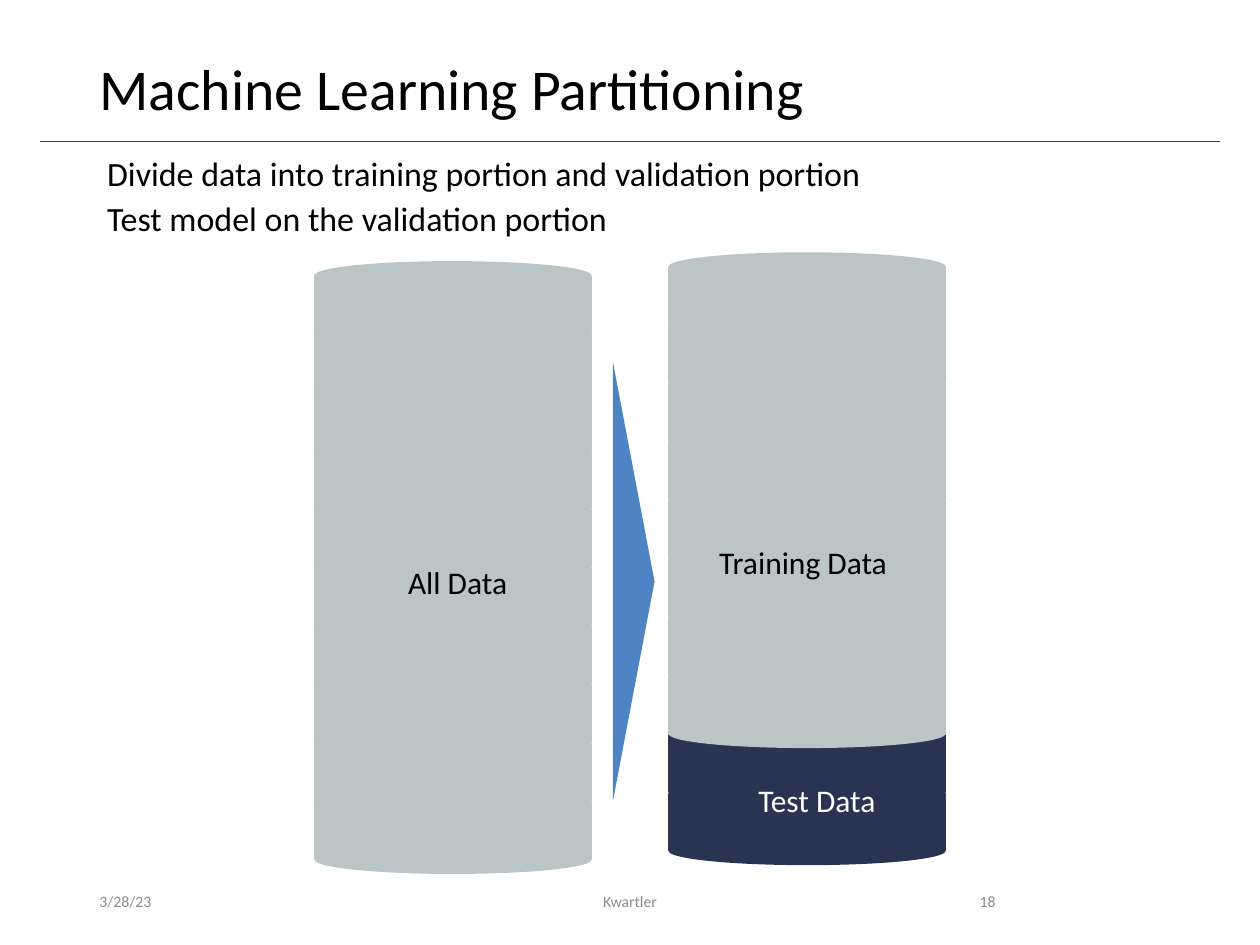
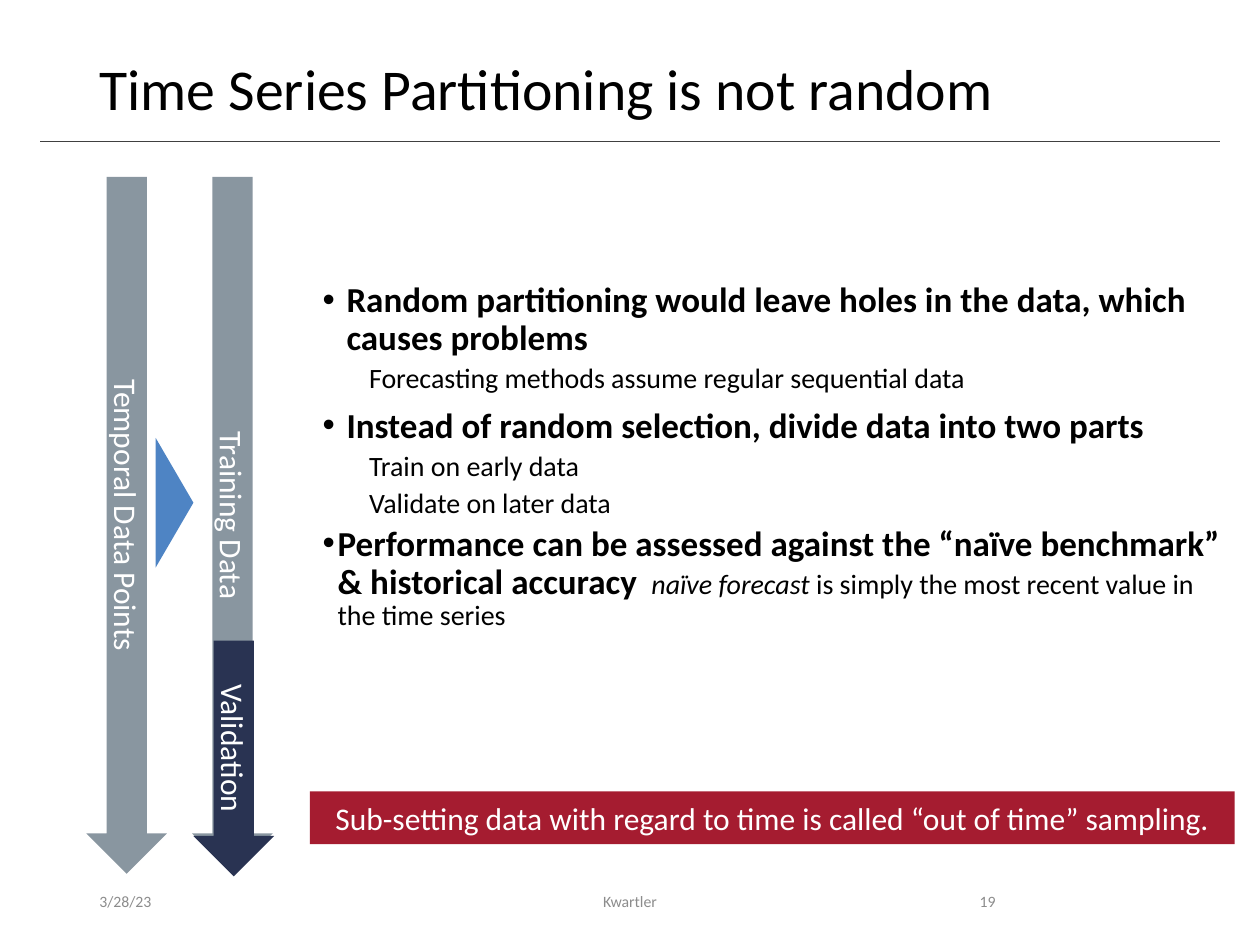
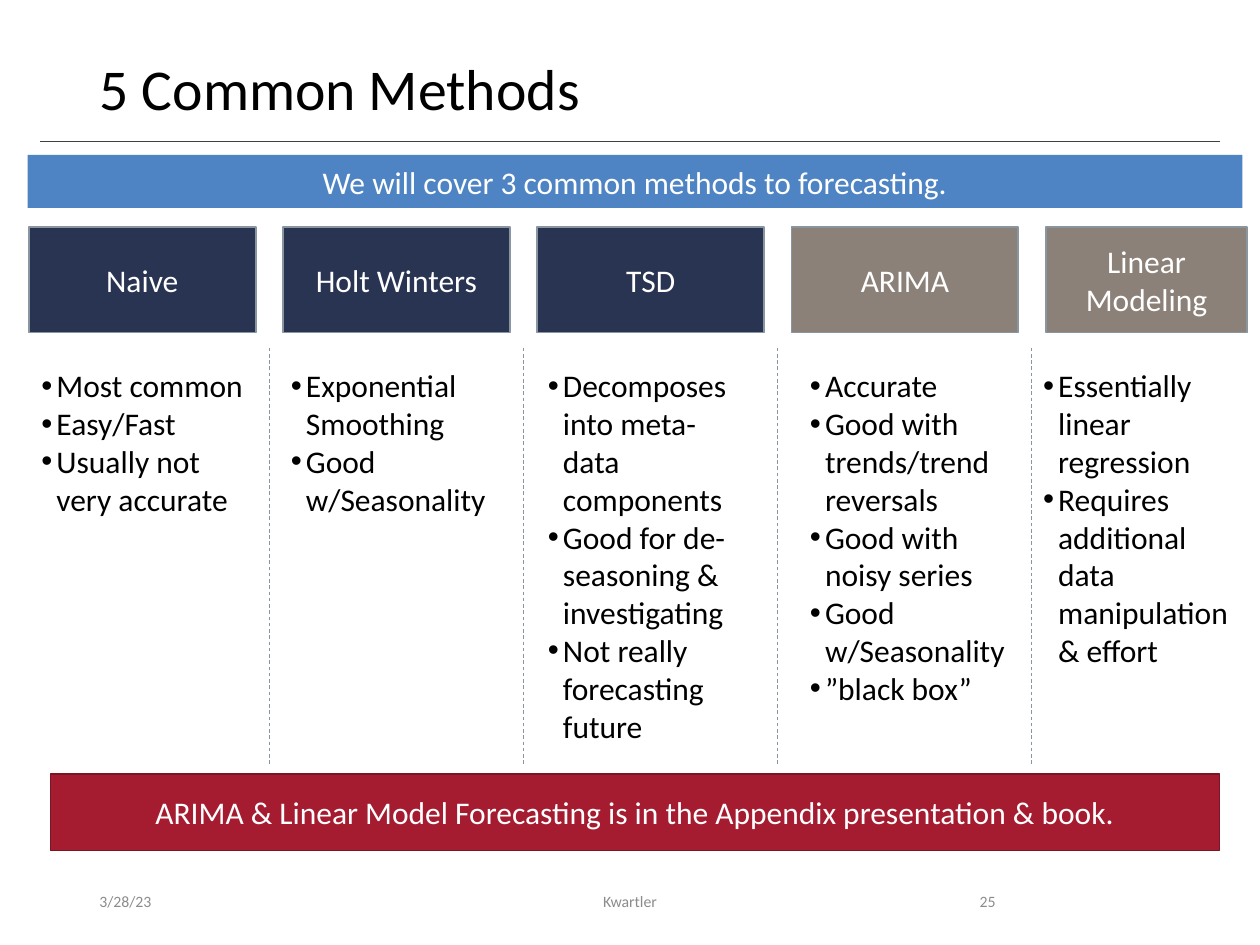
from dataclasses import dataclass, field
from typing import Any, NamedTuple

from lxml.etree import SubElement
from pptx import Presentation
from pptx.dml.color import RGBColor
from pptx.enum.dml import MSO_LINE
from pptx.enum.shapes import MSO_CONNECTOR, MSO_SHAPE
from pptx.enum.text import MSO_ANCHOR, MSO_AUTO_SIZE, PP_ALIGN
from pptx.oxml.ns import qn
from pptx.shapes.autoshape import Shape
from pptx.shapes.connector import Connector
from pptx.slide import Slide
from pptx.util import Inches, Pt


@dataclass(frozen=True)
class Theme:
    """Colours, font and type sizes of the presentation."""

    font: str = "Calibri"
    black: str = "000000"
    white: str = "FFFFFF"
    rule: str = "404040"
    footer: str = "8C8C8C"
    crimson: str = "A51C30"
    dark_crimson: str = "7A1524"
    navy: str = "293352"
    blue: str = "4E84C4"
    mist: str = "BAC5C6"
    slate: str = "8996A0"
    taupe: str = "8C8179"
    title_size: float = 33
    lead_size: float = 20
    intro_size: float = 19.4
    label_size: float = 18
    detail_size: float = 16
    footer_size: float = 9


THEME = Theme()


class Box(NamedTuple):
    """Left, top, width and height in inches."""

    left: float
    top: float
    width: float
    height: float

    def lengths(self) -> dict[str, int]:
        """Return the box as named lengths."""
        return {name: Inches(value) for name, value in self._asdict().items()}


@dataclass(frozen=True)
class TextRun:
    """A piece of text in one style."""

    text: str
    size: float = THEME.label_size
    color: str = THEME.black
    bold: bool = False
    italic: bool = False


@dataclass(frozen=True)
class TextParagraph:
    """Runs with their indent, bullet and paragraph format."""

    runs: tuple[TextRun, ...]
    margin: float = 0
    hanging: float = 0
    bullet: bool = False
    values: dict[str, Any] = field(default_factory=dict)


@dataclass(frozen=True)
class Block:
    """A filled shape with an optional label and outline."""

    kind: MSO_SHAPE
    box: Box
    fill: str
    label: str = ""
    outline: str = ""
    rotation: float = 0


class Stack(NamedTuple):
    """A pile of disks, with the navy ones at the bottom."""

    left: float
    top: float
    navy_count: int


class Method(NamedTuple):
    """A forecasting method with its heading and bullet column."""

    name: str
    fill: str
    width: float
    list_left: float
    points: tuple[str, ...]


TITLE_BOX = Box(0.69, 0.4, 8.62, 0.65)
DISK_COUNT = 10
DISK_PITCH = 0.4644
HEADING_LEFT = 0.23
HEADING_PITCH = 2.0175
SPACED_LEAD = {"line_spacing": 0.9, "space_before": Pt(7.5)}
SPACED_DETAIL = {"line_spacing": 0.9, "space_before": Pt(3.8), "level": 1}

FOOTERS = (
    (Box(0.69, 6.95, 2.25, 0.4), "3/28/23", PP_ALIGN.LEFT),
    (Box(7.06, 6.95, 0.94, 0.4), "{number}", PP_ALIGN.RIGHT),
    (Box(3.31, 6.95, 3.38, 0.4), "Kwartler", PP_ALIGN.CENTER),
)

METHODS = (
    Method("Naive", THEME.navy, 1.8, 0.23,
           ("Most common", "Easy/Fast", "Usually not very accurate")),
    Method("Holt Winters", THEME.navy, 1.8, 2.21,
           ("Exponential Smoothing", "Good w/Seasonality")),
    Method("TSD", THEME.navy, 1.8, 4.25,
           ("Decomposes into meta-data components",
            "Good for de-seasoning & investigating",
            "Not really forecasting future")),
    Method("ARIMA", THEME.taupe, 1.8, 6.33,
           ("Accurate", "Good with trends/trend reversals",
            "Good with noisy series", "Good w/Seasonality", "”black box”")),
    Method("Linear Modeling", THEME.taupe, 1.6, 8.18,
           ("Essentially linear regression",
            "Requires additional data manipulation & effort")),
)


def set_values(target: Any, values: dict[str, Any]) -> None:
    """Set each named attribute of the target."""
    for name, value in values.items():
        setattr(target, name, value)


def write_text(shape: Shape, paragraphs: list[TextParagraph],
               frame_values: dict[str, Any]) -> None:
    """Fill a shape's text frame with formatted paragraphs."""
    frame = shape.text_frame
    set_values(frame, {"word_wrap": True, "auto_size": MSO_AUTO_SIZE.NONE} | frame_values)
    for index, content in enumerate(paragraphs):
        paragraph = frame.add_paragraph() if index else frame.paragraphs[0]
        set_values(paragraph, content.values)
        properties = paragraph._p.get_or_add_pPr()
        properties.set("marL", str(Inches(content.margin)))
        properties.set("indent", str(Inches(-content.hanging)))
        if content.bullet:
            SubElement(properties, qn("a:buFont")).set("typeface", "Arial")
            SubElement(properties, qn("a:buChar")).set("char", "•")
        else:
            SubElement(properties, qn("a:buNone"))
        for piece in content.runs:
            run = paragraph.add_run()
            run.text = piece.text
            set_values(run.font, {"name": THEME.font, "size": Pt(piece.size),
                                  "bold": piece.bold, "italic": piece.italic})
            run.font.color.rgb = RGBColor.from_string(piece.color)


def add_text(slide: Slide, box: Box, paragraphs: list[TextParagraph],
             frame_values: dict[str, Any] | None = None) -> None:
    """Add a text box."""
    shape = slide.shapes.add_textbox(**box.lengths())
    write_text(shape, paragraphs, frame_values or {})


def add_block(slide: Slide, block: Block) -> None:
    """Draw a block with its centred white label."""
    shape = slide.shapes.add_shape(block.kind, **block.box.lengths())
    shape.shadow.inherit = False
    shape.rotation = block.rotation
    shape.fill.solid()
    shape.fill.fore_color.rgb = RGBColor.from_string(block.fill)
    if block.outline:
        shape.line.color.rgb = RGBColor.from_string(block.outline)
        shape.line.width = Pt(1)
    else:
        shape.line.fill.background()
    if block.label:
        label = TextParagraph((TextRun(block.label, color=THEME.white),),
                              values={"alignment": PP_ALIGN.CENTER})
        write_text(shape, [label], {"vertical_anchor": MSO_ANCHOR.MIDDLE})


def add_line(slide: Slide, start: tuple[float, float], end: tuple[float, float],
             color: str, dash: MSO_LINE | None = None) -> Connector:
    """Draw a thin straight line without shadow."""
    line = slide.shapes.add_connector(
        MSO_CONNECTOR.STRAIGHT, *(Inches(value) for value in (*start, *end)))
    line.line.color.rgb = RGBColor.from_string(color)
    set_values(line.line, {"width": Pt(0.5), "dash_style": dash})
    SubElement(line.element.spPr, qn("a:effectLst"))
    return line


def add_slide(presentation: Any, layout_index: int, title: str, number: int) -> Slide:
    """Add a slide with its title and footers."""
    slide = presentation.slides.add_slide(presentation.slide_layouts[layout_index])
    set_values(slide.shapes.title, TITLE_BOX.lengths())
    heading = TextParagraph((TextRun(title, THEME.title_size),),
                            values={"alignment": PP_ALIGN.LEFT, "line_spacing": 0.9})
    write_text(slide.shapes.title, [heading], {"vertical_anchor": MSO_ANCHOR.MIDDLE})
    for box, text, alignment in FOOTERS:
        run = TextRun(text.format(number=number), THEME.footer_size, THEME.footer)
        add_text(slide, box, [TextParagraph((run,), values={"alignment": alignment})],
                 {"vertical_anchor": MSO_ANCHOR.MIDDLE})
    return slide


def fill_body(slide: Slide, box: Box, paragraphs: list[TextParagraph]) -> None:
    """Place and fill the body placeholder."""
    body = slide.placeholders[1]
    set_values(body, box.lengths())
    write_text(body, paragraphs, {"vertical_anchor": MSO_ANCHOR.TOP})


def add_stack(slide: Slide, stack: Stack) -> None:
    """Pile up disks from the bottom to the top."""
    for row in reversed(range(DISK_COUNT)):
        color = THEME.navy if row >= DISK_COUNT - stack.navy_count else THEME.mist
        box = Box(stack.left, stack.top + row * DISK_PITCH, 2.19, 0.67)
        add_block(slide, Block(MSO_SHAPE.FLOWCHART_MAGNETIC_DISK, box, color, outline=color))


def build_partitioning(presentation: Any) -> None:
    """Build the slide on random partitioning."""
    slide = add_slide(presentation, 1, "Machine Learning Partitioning", 18)
    rule = add_line(slide, (0.32, 1.12), (9.68, 1.12), THEME.rule)
    presentation.slide_master.shapes.element.append(rule.element)
    spacing = {"line_spacing": 0.8, "space_before": Pt(7.5)}
    fill_body(slide, Box(0.75, 1.22, 8.5, 0.75), [
        TextParagraph((TextRun(text, THEME.intro_size),), 0.19, 0.19, values=spacing)
        for text in ("Divide data into training portion and validation portion",
                     "Test model on the validation portion")])
    for stack in (Stack(2.5, 2.08, 0), Stack(5.31, 2.01, 2)):
        add_stack(slide, stack)
    add_block(slide, Block(MSO_SHAPE.ISOSCELES_TRIANGLE, Box(3.29, 4.45, 3.48, 0.33),
                           THEME.blue, rotation=90))
    for box, text, color in (
        (Box(3.14, 4.42, 1, 0.4), "All Data", THEME.black),
        (Box(5.61, 4.26, 1.61, 0.4), "Training Data", THEME.black),
        (Box(5.92, 6.15, 1.14, 0.4), "Test Data", THEME.white),
    ):
        add_text(slide, box, [TextParagraph((TextRun(text, color=color),))],
                 {"word_wrap": False})


def lead(text: str) -> TextParagraph:
    """Return a bold bulleted statement."""
    return TextParagraph((TextRun(text, THEME.lead_size, bold=True),),
                         0.19, 0.19, True, SPACED_LEAD)


def detail(text: str) -> TextParagraph:
    """Return an indented supporting line."""
    return TextParagraph((TextRun(text, THEME.detail_size),),
                         0.56, 0.19, values=SPACED_DETAIL)


def build_time_series(presentation: Any) -> None:
    """Build the slide on partitioning by time."""
    slide = add_slide(presentation, 1, "Time Series Partitioning is not random", 19)
    benchmark = (
        TextRun("Performance can be assessed against the “naïve benchmark” "
                "& historical accuracy ", THEME.lead_size, bold=True),
        TextRun(" ", THEME.detail_size),
        TextRun("naïve forecast ", THEME.detail_size, italic=True),
        TextRun("is simply the most recent value in the time series", THEME.detail_size),
    )
    fill_body(slide, Box(2.46, 2.19, 7.34, 3.61), [
        lead("Random partitioning would leave holes in the data, which causes problems"),
        detail("Forecasting methods assume regular sequential data"),
        lead("Instead of random selection, divide data into two parts"),
        detail("Train on early data"),
        detail("Validate on later data"),
        TextParagraph(benchmark, 0.12, 0.12, True, SPACED_DETAIL),
    ])
    for box, color, label in (
        (Box(-1.76, 3.85, 5.53, 0.64), THEME.slate, "Temporal Data Points"),
        (Box(-0.92, 3.85, 5.53, 0.64), THEME.slate, "Training Data"),
        (Box(0.92, 5.7, 1.87, 0.64), THEME.navy, "Validation"),
    ):
        add_block(slide, Block(MSO_SHAPE.RIGHT_ARROW, box, color, label, rotation=90))
    add_block(slide, Block(MSO_SHAPE.ISOSCELES_TRIANGLE, Box(0.87, 3.84, 1.03, 0.3),
                           THEME.blue, rotation=90))
    add_block(slide, Block(
        MSO_SHAPE.RECTANGLE, Box(2.46, 6.28, 7.34, 0.42), THEME.crimson,
        "Sub-setting data with regard to time is called “out of time” sampling."))


def build_methods(presentation: Any) -> None:
    """Build the slide that compares five methods."""
    slide = add_slide(presentation, 5, "5 Common Methods", 25)
    add_block(slide, Block(MSO_SHAPE.RECTANGLE, Box(0.22, 1.23, 9.64, 0.42), THEME.blue,
                           "We will cover 3 common methods to forecasting."))
    for index, method in enumerate(METHODS):
        left = HEADING_LEFT + index * HEADING_PITCH
        add_block(slide, Block(MSO_SHAPE.RECTANGLE, Box(left, 1.8, method.width, 0.84),
                               method.fill, method.name, THEME.slate))
        add_text(slide, Box(method.list_left, 2.86, 1.8, 3.13), [
            TextParagraph((TextRun(point),), 0.12, 0.12, True) for point in method.points])
        if index:
            divider = left - 0.11
            add_line(slide, (divider, 2.76), (divider, 6.06), THEME.slate, MSO_LINE.DASH)
    add_block(slide, Block(
        MSO_SHAPE.RECTANGLE, Box(0.4, 6.14, 9.28, 0.61), THEME.crimson,
        "ARIMA & Linear Model Forecasting is in the Appendix presentation & book.",
        THEME.dark_crimson))


def main() -> None:
    """Build and save the presentation."""
    presentation = Presentation()
    set_values(presentation, {"slide_width": Inches(10), "slide_height": Inches(7.5)})
    for build in (build_partitioning, build_time_series, build_methods):
        build(presentation)
    presentation.save("out.pptx")


main()
